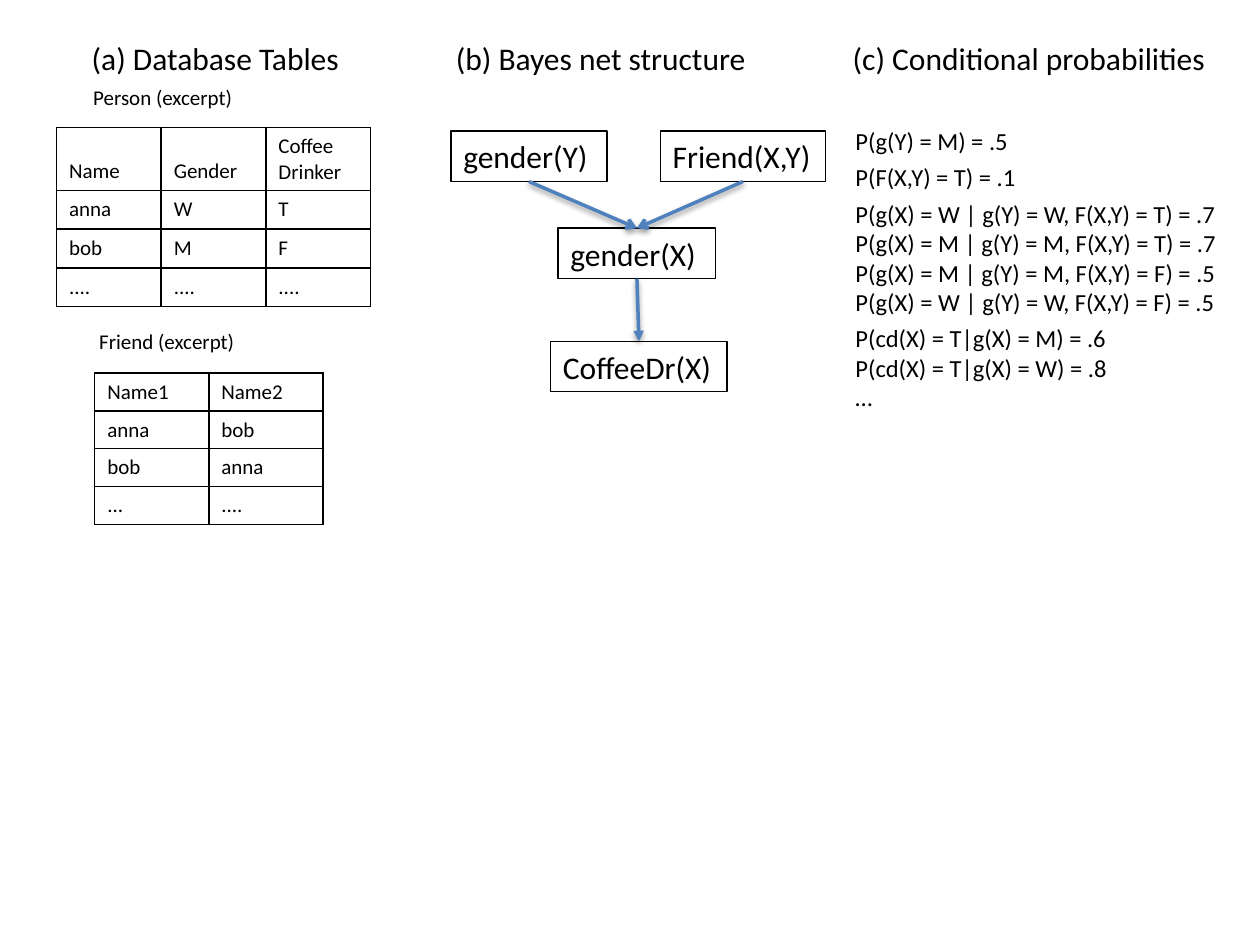
import pptx
import pptx.util
import pptx.dml.color
import pptx.enum.shapes
import pptx.enum.text
import pptx.oxml

Cm = pptx.util.Cm
Pt = pptx.util.Pt
MID = pptx.enum.text.MSO_ANCHOR.MIDDLE
LOW = pptx.enum.text.MSO_ANCHOR.BOTTOM
TOP = pptx.enum.text.MSO_ANCHOR.TOP
NS = 'xmlns:a="http://schemas.openxmlformats.org/drawingml/2006/main"'
BLACK, BLUE = "000000", "4F81BD"

HEADS = [
    ("(a) Database Tables", 1.6, 5.61),
    ("(b) Bayes net structure", 8.94, 6.45),
    ("(c) Conditional probabilities", 16.94, 7.7),
]
LABELS = [
    ("Person (excerpt)", 1.63, 1.57, 3.96),
    ("Friend (excerpt)", 1.75, 6.5, 3.25),
]
TABLES = [
    {"left": 1.14, "top": 2.57, "col": 2.11, "highs": [1.27, 0.78, 0.78, 0.78],
     "rows": [["Name", "Gender", "Coffee\vDrinker"],
              ["anna", "W", "T"],
              ["bob", "M", "F"],
              ["....", "....", "...."]]},
    {"left": 1.91, "top": 7.52, "col": 2.3, "highs": [0.76] * 4,
     "rows": [["Name1", "Name2"],
              ["anna", "bob"],
              ["bob", "anna"],
              ["...", "...."]]},
]
NODES = [
    ("gender(Y)", 9.09, 2.64, 3.15),
    ("Friend(X,Y)", 13.31, 2.64, 3.33),
    ("gender(X)", 11.25, 4.6, 3.18),
    ("CoffeeDr(X)", 11.1, 6.88, 3.56),
]
EDGES = [
    ("gender(Y)", "gender(X)", "arrow"),
    ("Friend(X,Y)", "gender(X)", "arrow"),
    ("gender(X)", "CoffeeDr(X)", "triangle"),
]
ODDS = [
    ["P(g(Y) = M) = .5"],
    ["P(F(X,Y) = T) = .1"],
    ["P(g(X) = W | g(Y) = W, F(X,Y) = T) = .7",
     "P(g(X) = M | g(Y) = M, F(X,Y) = T) = .7",
     "P(g(X) = M | g(Y) = M, F(X,Y) = F) = .5",
     "P(g(X) = W | g(Y) = W, F(X,Y) = F) = .5"],
    ["P(cd(X) = T|g(X) = M) = .6",
     "P(cd(X) = T|g(X) = W) = .8",
     "…"],
]


def paint(form, code):
    form.rgb = pptx.dml.color.RGBColor.from_string(code)


def write(para, text, size):
    para.alignment = pptx.enum.text.PP_ALIGN.LEFT
    for i, part in enumerate(text.split("\v")):
        if i:
            para.add_line_break()
        run = para.add_run()
        run.text = part
        run.font.name = "Calibri"
        run.font.size = Pt(size)
        paint(run.font.color, BLACK)


def label(slide, text, left, top, width, high, size, wrap):
    box = slide.shapes.add_textbox(Cm(left), Cm(top), Cm(width), Cm(high))
    box.text_frame.word_wrap = wrap
    write(box.text_frame.paragraphs[0], text, size)


def grid(slide, data):
    rows, highs, col = data["rows"], data["highs"], data["col"]
    count = len(rows[0])
    table = slide.shapes.add_table(
        len(rows), count, Cm(data["left"]), Cm(data["top"]),
        Cm(col * count), Cm(sum(highs))).table
    for line in table.columns:
        line.width = Cm(col)
    for r, row in enumerate(rows):
        table.rows[r].height = Cm(highs[r])
        for c, text in enumerate(row):
            cell = table.cell(r, c)
            props = cell._tc.get_or_add_tcPr()
            for side in "LRTB":
                props.append(pptx.oxml.parse_xml(
                    f'<a:ln{side} {NS} w="12700"><a:solidFill>'
                    f'<a:srgbClr val="{BLACK}"/></a:solidFill></a:ln{side}>'))
            cell.fill.background()
            cell.vertical_anchor = TOP if r else LOW
            write(cell.text_frame.paragraphs[0], text, 12)


def node(slide, text, left, top, width):
    box = slide.shapes.add_shape(
        pptx.enum.shapes.MSO_SHAPE.RECTANGLE,
        Cm(left), Cm(top), Cm(width), Cm(1.02))
    box.shadow.inherit = False
    box.fill.background()
    paint(box.line.color, BLACK)
    box.line.width = Pt(0.75)
    box.text_frame.word_wrap = False
    box.text_frame.vertical_anchor = MID
    write(box.text_frame.paragraphs[0], text, 18)
    return box


def link(slide, start, end, head):
    line = slide.shapes.add_connector(
        pptx.enum.shapes.MSO_CONNECTOR.STRAIGHT, 0, 0, 0, 0)
    line.begin_connect(start, 2)
    line.end_connect(end, 0)
    paint(line.line.color, BLUE)
    line.line.width = Pt(2)
    line.line._get_or_add_ln().append(
        pptx.oxml.parse_xml(f'<a:tailEnd {NS} type="{head}"/>'))
    line._element.spPr.append(pptx.oxml.parse_xml(
        f'<a:effectLst {NS}><a:outerShdw blurRad="40000" dist="20000" '
        f'dir="5400000" rotWithShape="0"><a:srgbClr val="{BLACK}">'
        '<a:alpha val="38000"/></a:srgbClr></a:outerShdw></a:effectLst>'))


def odds(body):
    body.left, body.top = Cm(16.99), Cm(2.41)
    body.width, body.height = Cm(7.9), Cm(6.07)
    frame = body.text_frame
    frame.word_wrap = True
    frame.auto_size = pptx.enum.text.MSO_AUTO_SIZE.NONE
    frame.vertical_anchor = TOP
    for g, group in enumerate(ODDS):
        for i, text in enumerate(group):
            para = frame.add_paragraph() if g or i else frame.paragraphs[0]
            props = para._p.get_or_add_pPr()
            props.set("marL", "0")
            props.set("indent", "0")
            props.append(pptx.oxml.parse_xml(f"<a:buNone {NS}/>"))
            para.space_before = Pt(4 if g and not i else 0)
            write(para, text, 14)


def main():
    deck = pptx.Presentation()
    deck.slide_width, deck.slide_height = Cm(25.4), Cm(19.05)
    slide = deck.slides.add_slide(deck.slide_layouts[1])
    title = slide.shapes.title._element
    title.getparent().remove(title)
    odds(slide.placeholders[1])
    for text, left, width in HEADS:
        label(slide, text, left, 0.66, width, 1.02, 18, False)
    for text, left, top, width in LABELS:
        label(slide, text, left, top, width, 0.76, 12, True)
    for data in TABLES:
        grid(slide, data)
    boxes = {spot[0]: node(slide, *spot) for spot in NODES}
    for start, end, head in EDGES:
        link(slide, boxes[start], boxes[end], head)
    deck.save("out.pptx")


if __name__ == "__main__":
    main()
